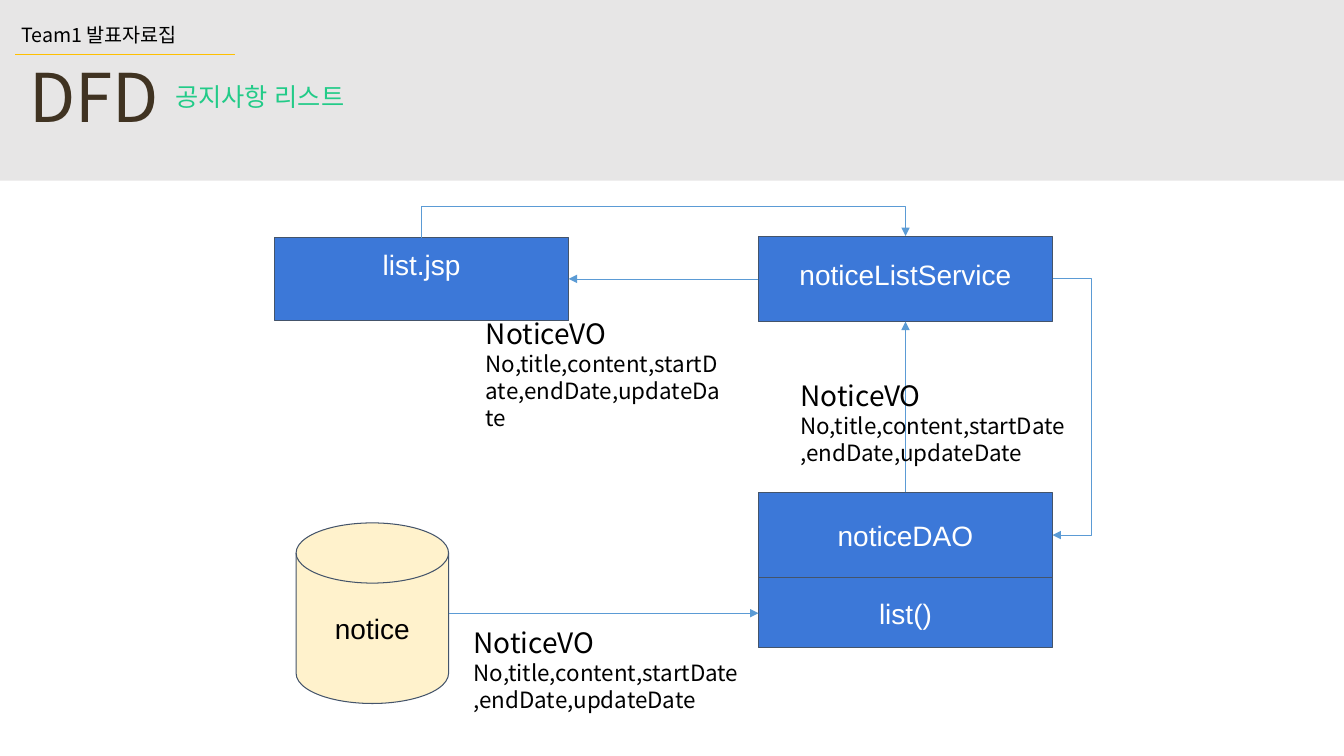
from dataclasses import dataclass

from lxml import etree
from pptx import Presentation
from pptx.dml.color import RGBColor
from pptx.enum.shapes import MSO_CONNECTOR, MSO_SHAPE
from pptx.enum.text import MSO_ANCHOR, MSO_AUTO_SIZE, PP_ALIGN
from pptx.oxml.ns import qn
from pptx.util import Emu, Inches, Pt

RECT, DISK = MSO_SHAPE.RECTANGLE, MSO_SHAPE.FLOWCHART_MAGNETIC_DISK
STRAIGHT = MSO_CONNECTOR.STRAIGHT
TOP, MIDDLE = MSO_ANCHOR.TOP, MSO_ANCHOR.MIDDLE
LEFT, CENTER = PP_ALIGN.LEFT, PP_ALIGN.CENTER
TITLE_ONLY = 5


@dataclass(frozen=True)
class Theme:
    header: str = "E7E6E6"
    rule: str = "FFC000"
    title: str = "403322"
    subtitle: str = "22CB88"
    ink: str = "000000"
    paper: str = "FFFFFF"
    process: str = "3C78D8"
    store: str = "FFF2CC"
    outline: str = "44546A"
    flow: str = "5B9BD5"
    body_font: str = "Noto Sans CJK KR"
    accent_font: str = "Open Sans"
    node_font: str = "Arial"
    title_size: int = 48
    large: int = 20
    medium: int = 18
    small: int = 16
    tiny: int = 14


@dataclass(frozen=True)
class Box:
    """An area of the grid: 160 columns by 90 rows."""
    col: float
    row: float
    cols: float
    rows: float

    @property
    def right(self) -> float:
        return self.col + self.cols

    @property
    def bottom(self) -> float:
        return self.row + self.rows

    @property
    def cx(self) -> float:
        return self.col + self.cols / 2

    @property
    def cy(self) -> float:
        return self.row + self.rows / 2


@dataclass(frozen=True)
class Node:
    text: str
    box: Box
    fill: str
    color: str
    preset: int = RECT
    anchor: int = MIDDLE
    bottom_inset: float = 0.1


T = Theme()
Point = tuple[float, float]

prs = Presentation()
prs.slide_width, prs.slide_height = Inches(13.33), Inches(7.5)
s = prs.slides.add_slide(prs.slide_layouts[TITLE_ONLY])


def x(col: float) -> Emu:
    return Emu(round(prs.slide_width * col / 160))


def y(row: float) -> Emu:
    return Emu(round(prs.slide_height * row / 90))


def frame(box: Box) -> tuple[Emu, Emu, Emu, Emu]:
    return x(box.col), y(box.row), x(box.cols), y(box.rows)


def rgb(color: str) -> RGBColor:
    return RGBColor.from_string(color)


def add_run(p, text: str, size: int, color: str, font: str) -> None:
    r = p.add_run()
    r.text = text
    r.font.size = Pt(size)
    r.font.color.rgb = rgb(color)
    r.font.name = font
    etree.SubElement(r.font._element, qn("a:ea"), typeface=font)


def add_label(box: Box, *lines: tuple[str, int, str, str], sp=None) -> None:
    """Write one paragraph a line, in a new text box or a placeholder."""
    if sp is None:
        sp = s.shapes.add_textbox(*frame(box))
    sp.left, sp.top, sp.width, sp.height = frame(box)
    tf = sp.text_frame
    tf.word_wrap, tf.auto_size = True, MSO_AUTO_SIZE.NONE
    tf.vertical_anchor = TOP
    for i, line in enumerate(lines):
        p = tf.add_paragraph() if i else tf.paragraphs[0]
        p.alignment = LEFT
        add_run(p, *line)


def add_shape(box: Box, fill: str, preset: int = RECT):
    sp = s.shapes.add_shape(preset, *frame(box))
    sp.shadow.inherit = False
    sp.fill.solid()
    sp.fill.fore_color.rgb = rgb(fill)
    sp.line.fill.background()
    return sp


def add_node(node: Node) -> None:
    sp = add_shape(node.box, node.fill, node.preset)
    sp.line.color.rgb, sp.line.width = rgb(T.outline), Pt(0.75)
    tf = sp.text_frame
    tf.word_wrap, tf.vertical_anchor = True, node.anchor
    tf.margin_left = tf.margin_right = tf.margin_top = Inches(0.1)
    tf.margin_bottom = Inches(node.bottom_inset)
    p = tf.paragraphs[0]
    p.alignment = CENTER
    add_run(p, node.text, T.large, node.color, T.node_font)


def add_line(start: Point, end: Point, color: str, width: float):
    line = s.shapes.add_connector(STRAIGHT, x(start[0]), y(start[1]), x(end[0]), y(end[1]))
    line.line.color.rgb, line.line.width = rgb(color), Pt(width)
    etree.SubElement(line._element.spPr, qn("a:effectLst"))
    return line


def add_flow(*points: Point) -> None:
    """Draw an arrow, straight between two points or bent through more."""
    if len(points) == 2:
        sp = add_line(*points, T.flow, 0.5)
    else:
        start, *rest = [(x(col), y(row)) for col, row in points]
        route = s.shapes.build_freeform(*start)
        route.add_line_segments(rest, close=False)
        sp = route.convert_to_shape()
        sp.shadow.inherit = False
        sp.fill.background()
        sp.line.color.rgb, sp.line.width = rgb(T.flow), Pt(0.5)
    ln = sp.line._get_or_add_ln()
    etree.SubElement(ln, qn("a:tailEnd"), type="triangle")


# Header band, behind the title
header = add_shape(Box(0, 0, 160, 21.5), T.header)
s.shapes._spTree.insert(2, header._element)
add_line((1.8, 6.45), (28, 6.45), T.rule, 0.75)
add_label(Box(2.3, 6, 48.7, 10.9), ("DFD", T.title_size, T.title, T.body_font), sp=s.shapes.title)
add_label(Box(19.7, 9.1, 33.2, 4.8), ("공지사항 리스트", T.medium, T.subtitle, T.accent_font))
add_label(Box(1.35, 2.1, 28.1, 4.1), ("Team1 발표자료집", T.tiny, T.ink, T.body_font))

# Processes and data store
page = Box(32.7, 28.3, 35, 9.9)
service = Box(90.3, 28.1, 35, 10.2)
dao = Box(90.3, 58.6, 35, 10.2)
method = Box(90.3, dao.bottom, 35, 8.3)
store = Box(35.25, 62.25, 18.15, 21.5)
for node in (
    Node("list.jsp", page, T.process, T.paper, anchor=TOP),
    Node("noticeListService", service, T.process, T.paper, bottom_inset=0.2),
    Node("noticeDAO", dao, T.process, T.paper),
    Node("list()", method, T.process, T.paper),
    Node("notice", store, T.store, T.ink, preset=DISK),
):
    add_node(node)

# Data flows
over, beside = 24.6, 129.9
add_flow((page.cx, page.row), (page.cx, over), (service.cx, over), (service.cx, service.row))
add_flow((service.col, service.cy), (page.right, service.cy))
add_flow((service.right, service.cy), (beside, service.cy), (beside, dao.cy), (dao.right, dao.cy))
add_flow((dao.cx, dao.row), (service.cx, service.bottom))
add_flow((store.right, store.cy), (method.col, store.cy))

# Value object carried by the flows
for box in (Box(56.65, 37.1, 31.2, 11.75), Box(94.1, 44.5, 34.2, 11.75), Box(55.2, 73.85, 34.2, 11.75)):
    add_label(
        box,
        ("NoticeVO", T.large, T.ink, T.body_font),
        ("No,title,content,startDate,endDate,updateDate", T.small, T.ink, T.body_font),
    )

prs.save("out.pptx")
